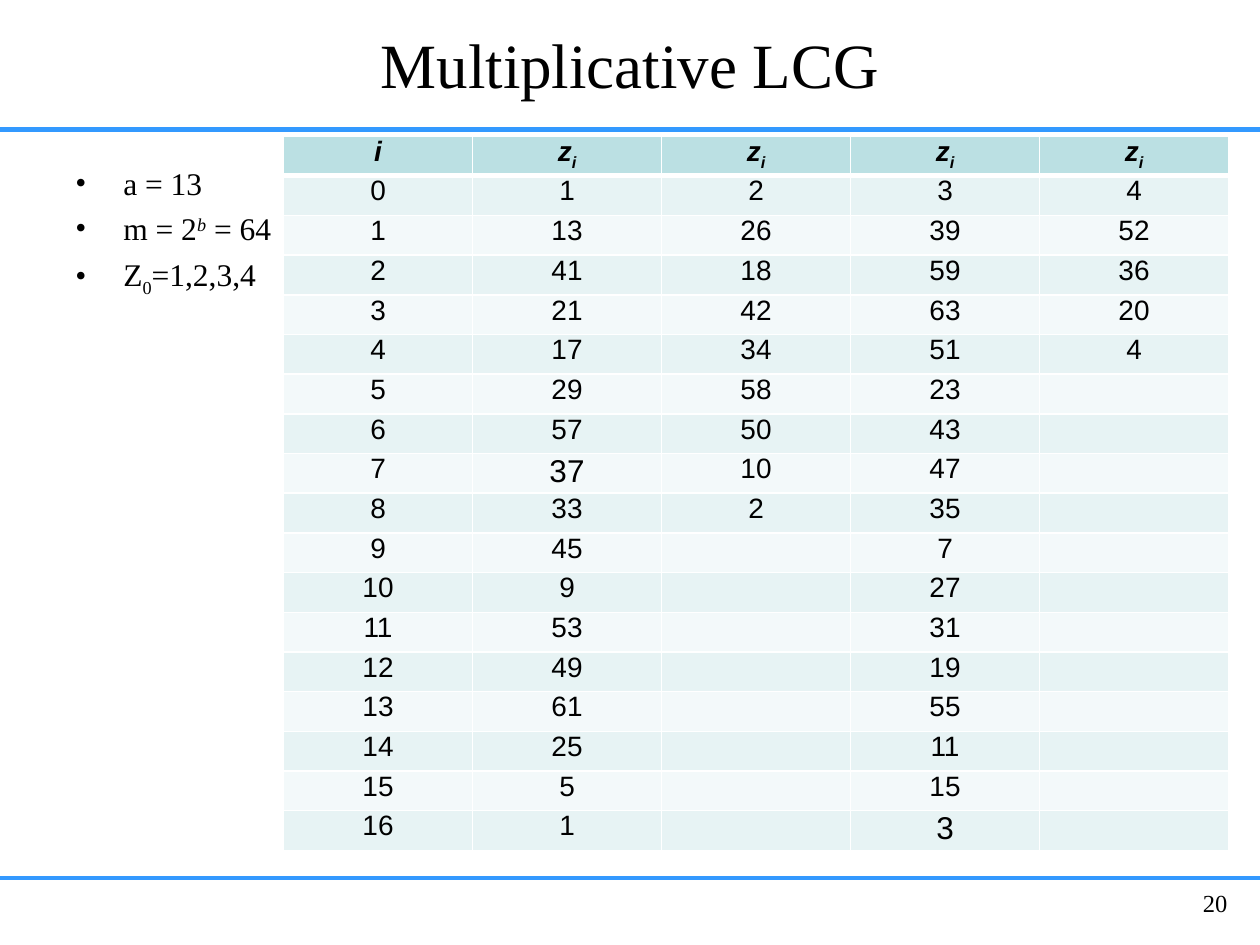
from lxml import etree
from pptx import Presentation
from pptx import util as u
from pptx.dml import color
from pptx.enum import shapes, text
from pptx.oxml import ns

COLORS = {
    "rule": "3399FF",
    "ink": "000000",
    "border": "FFFFFF",
    "header": "BBE0E3",
    "odd": "E7F3F4",
    "even": "F3F9FA",
}
SERIF, SANS = "Times New Roman", "Arial"
MULTIPLIER, MODULUS, STEPS = 13, 64, 16
SEEDS = [1, 2, 3, 4]
ENLARGED = {(8, 1), (17, 3)}
PARAMETERS = [
    [("a = 13", 0, False)],
    [("m = 2", 0, False), ("b", 30, True), (" = 64", 0, False)],
    [("Z", 0, False), ("0", -25, False), ("=1,2,3,4", 0, False)],
]


def rgb(name):
    return color.RGBColor.from_string(COLORS[name])


def add_run(para, words, size, font, bold=False, italic=False, baseline=0):
    span = para.add_run()
    span.text = words
    span.font.name = font
    span.font.size = u.Pt(size)
    span.font.bold = bold
    span.font.italic = italic
    span.font.color.rgb = rgb("ink")
    if baseline:
        span._r.get_or_add_rPr().set("baseline", str(baseline * 1000))


def add_box(page, left, top, width, height, anchor=text.MSO_ANCHOR.TOP):
    box = page.shapes.add_textbox(*map(u.Inches, (left, top, width, height)))
    frame = box.text_frame
    frame.word_wrap = True
    frame.vertical_anchor = anchor
    return frame


def add_label(page, words, size, align, place, anchor=text.MSO_ANCHOR.TOP):
    para = add_box(page, *place, anchor).paragraphs[0]
    para.alignment = align
    add_run(para, words, size, SERIF)


def add_rule(page, top, weight):
    rule = page.shapes.add_connector(
        shapes.MSO_CONNECTOR.STRAIGHT, 0, u.Inches(top), u.Inches(10), u.Inches(top))
    rule.line.color.rgb = rgb("rule")
    rule.line.width = u.Pt(weight)
    etree.SubElement(rule._element.spPr, ns.qn("a:effectLst"))


def add_bullets(page):
    frame = add_box(page, 0.5, 1.25, 1.75, 1.83)
    frame.margin_right = 0
    for index, runs in enumerate(PARAMETERS):
        para = frame.add_paragraph() if index else frame.paragraphs[0]
        para.space_before = u.Pt(4.4)
        props = para._p.get_or_add_pPr()
        props.set("marL", str(u.Inches(0.38)))
        props.set("indent", str(-u.Inches(0.38)))
        etree.SubElement(props, ns.qn("a:buFont"), typeface=SERIF)
        etree.SubElement(props, ns.qn("a:buChar"), char="•")
        for words, baseline, italic in runs:
            add_run(para, words, 18, SERIF, italic=italic, baseline=baseline)


def add_borders(cell, row):
    props = cell._tc.get_or_add_tcPr()
    weights = {"L": 1, "R": 1, "T": 3 if row == 1 else 1, "B": 3 if row == 0 else 1}
    for side, weight in weights.items():
        line = etree.SubElement(props, ns.qn(f"a:ln{side}"), w=str(u.Pt(weight)))
        fill = etree.SubElement(line, ns.qn("a:solidFill"))
        etree.SubElement(fill, ns.qn("a:srgbClr"), val=COLORS["border"])


def style_cell(cell, row):
    cell.margin_left = cell.margin_right = u.Inches(0.1)
    cell.margin_top = cell.margin_bottom = 0
    add_borders(cell, row)
    cell.fill.solid()
    cell.fill.fore_color.rgb = rgb("header" if row == 0 else "odd" if row % 2 else "even")
    para = cell.text_frame.paragraphs[0]
    para.alignment = text.PP_ALIGN.CENTER
    return para


def full_cycle(seed):
    values = [seed]
    while len(values) == 1 or values[-1] != seed:
        values.append(MULTIPLIER * values[-1] % MODULUS)
    return values


def add_sequence_table(page):
    columns = [list(range(STEPS + 1))] + [full_cycle(seed) for seed in SEEDS]
    count = STEPS + 2
    table = page.shapes.add_table(
        count, len(columns), u.Inches(2.25), u.Inches(1.08),
        u.Inches(7.5), u.Inches(5.67)).table
    for row in table.rows:
        row.height = u.Inches(5.67 / count)
    for column, values in enumerate(columns):
        table.columns[column].width = u.Inches(1.5)
        header = style_cell(table.cell(0, column), 0)
        if column:
            add_run(header, "z", 16, SANS, True, True)
        add_run(header, "i", 16, SANS, True, True, -25 if column else 0)
        for row in range(1, count):
            para = style_cell(table.cell(row, column), row)
            if row <= len(values):
                size = 18 if (row, column) in ENLARGED else 16
                add_run(para, str(values[row - 1]), size, SANS)
            else:
                para.font.size = u.Pt(16)


def main():
    deck = Presentation()
    deck.slide_width, deck.slide_height = u.Inches(10), u.Inches(7.5)
    page = deck.slides.add_slide(deck.slide_layouts[6])
    add_rule(page, 6.97, 2.25)
    add_rule(page, 1.03, 3)
    add_label(page, "Multiplicative LCG", 36, text.PP_ALIGN.CENTER,
              (0.5, 0.17, 9, 0.67), text.MSO_ANCHOR.MIDDLE)
    add_sequence_table(page)
    add_label(page, "20", 14, text.PP_ALIGN.RIGHT, (9.17, 7, 0.67, 0.39))
    add_bullets(page)
    deck.save("out.pptx")


if __name__ == "__main__":
    main()
